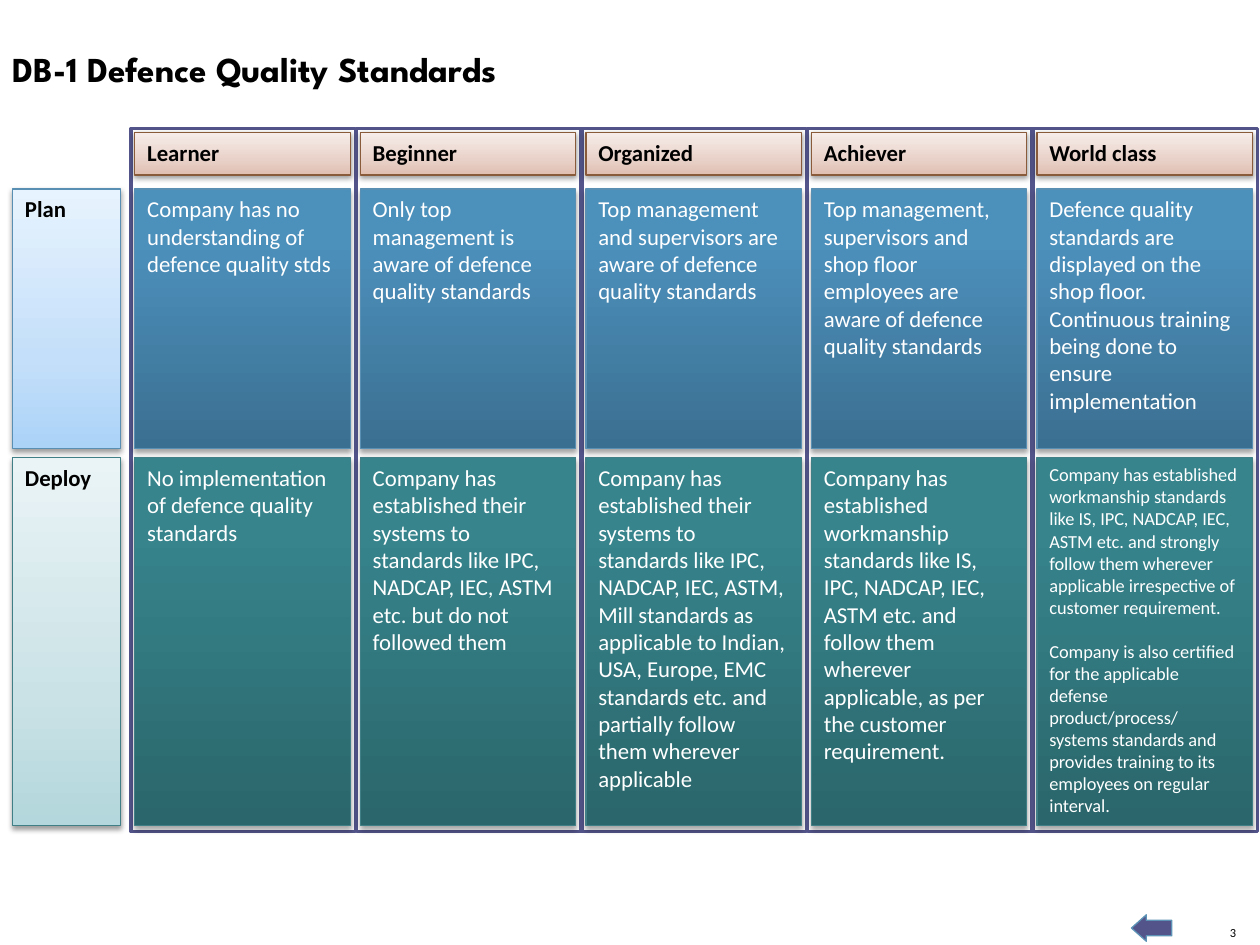
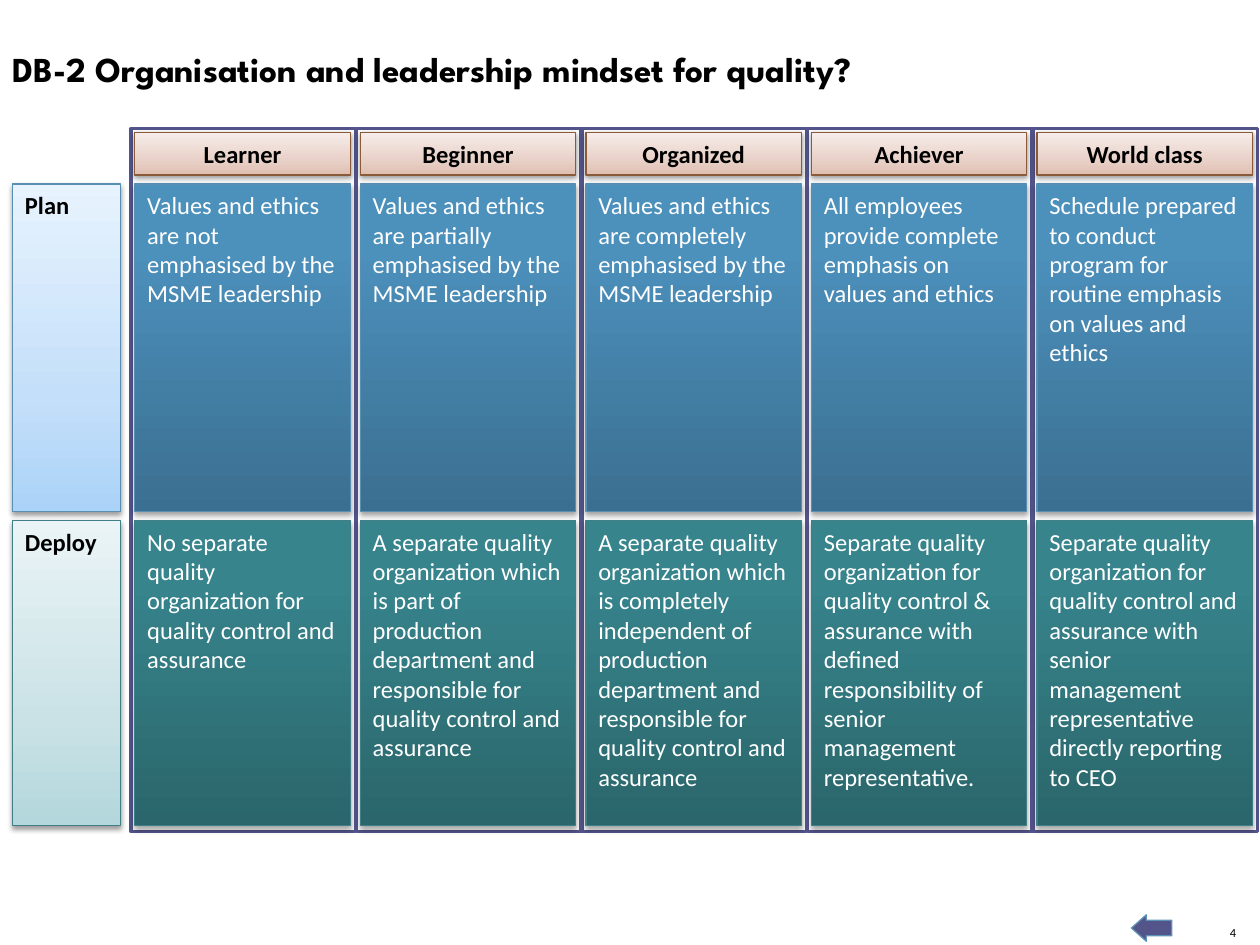
from dataclasses import dataclass

import lxml.etree
import pptx
import pptx.dml.color
import pptx.enum.dml
import pptx.enum.shapes
import pptx.enum.text
import pptx.oxml.ns
import pptx.util

RGB = pptx.dml.color.RGBColor
PP_ALIGN = pptx.enum.text.PP_ALIGN
ANCHOR = pptx.enum.text.MSO_ANCHOR
SHAPE = pptx.enum.shapes.MSO_SHAPE
qn = pptx.oxml.ns.qn

# The slide is a grid of 100 columns by 75 rows; every length below is in grid units.
COLUMNS, ROWS = 100, 75
UNIT = pptx.util.Inches(0.1)

BLACK = RGB(0x00, 0x00, 0x00)
WHITE = RGB(0xFF, 0xFF, 0xFF)
INDIGO = RGB(0x53, 0x54, 0x8A)
BLUE_EDGE = RGB(0x58, 0x8F, 0xB3)
TEAL_EDGE = RGB(0x40, 0x7F, 0x85)
BROWN_EDGE = RGB(0x8A, 0x5B, 0x3A)
ARROW_EDGE = RGB(0x5C, 0x92, 0xB5)

TITLE_FONT, BODY_FONT = "League Spartan", "Calibri"

LEVELS = ("Learner", "Beginner", "Organized", "Achiever", "World class")
LEVEL_PITCH = 17.9
FRAME_LEFT, FRAME_TOP, FRAME_WIDTH, FRAME_HEIGHT = 10.4, 10.2, 17.8, 55.8
CARD_LEFT, CARD_WIDTH = 10.7, 17.1
HEADER_TOP, HEADER_HEIGHT = 10.5, 3.4
PHASE_LEFT, PHASE_WIDTH = 1, 8.6
ROW_GAP, BOARD_BOTTOM = 0.7, 65.5
SMALL_TEXT = 10.5


@dataclass(frozen=True)
class CardStyle:
    """Look of a card; stops run from bottom to top as (percent, colour)."""
    stops: tuple
    edge: RGB
    text: RGB
    bold: bool
    shadow_alpha: int
    shadow_distance: float


def pale_style(bottom, middle, top, edge):
    stops = ((0, bottom), (35, middle), (100, top))
    return CardStyle(stops, edge, BLACK, True, 38, 1.6)


def deep_style(bottom, middle, top, edge):
    stops = ((0, bottom), (80, middle), (100, top))
    return CardStyle(stops, edge, WHITE, False, 35, 1.8)


HEADER = pale_style(RGB(0xE0, 0xBE, 0xB0), RGB(0xE8, 0xD1, 0xC8), RGB(0xF7, 0xED, 0xEA), BROWN_EDGE)
PLAN_LABEL = pale_style(RGB(0xAB, 0xD3, 0xF8), RGB(0xC4, 0xDF, 0xF9), RGB(0xE7, 0xF3, 0xFE), BLUE_EDGE)
DEPLOY_LABEL = pale_style(RGB(0xB3, 0xD7, 0xDC), RGB(0xCA, 0xE2, 0xE6), RGB(0xEA, 0xF4, 0xF6), TEAL_EDGE)
PLAN_CARD = deep_style(RGB(0x3B, 0x6F, 0x91), RGB(0x4C, 0x90, 0xBC), RGB(0x4A, 0x91, 0xBF), BLUE_EDGE)
DEPLOY_CARD = deep_style(RGB(0x2A, 0x66, 0x6B), RGB(0x37, 0x84, 0x8C), RGB(0x36, 0x86, 0x8E), TEAL_EDGE)


@dataclass(frozen=True)
class Board:
    """One maturity board: a plan and a deploy statement for each level."""
    number: int
    title: str
    text_size: float
    plan_top: float
    plan_height: float
    plan: tuple
    deploy: tuple
    centred_headers: bool = False


BOARDS = (
    Board(
        3, "DB-1 Defence Quality Standards", 13, 15, 20.6,
        plan=(
            "Company has no understanding of defence quality stds",
            "Only top management is aware of defence quality standards",
            "Top management and supervisors are aware of defence quality standards",
            "Top management, supervisors and shop floor employees are aware of "
            "defence quality standards",
            "Defence quality standards are displayed on the shop floor. Continuous "
            "training being done to ensure implementation",
        ),
        deploy=(
            "No implementation of defence quality standards",
            "Company has established their systems to standards like IPC, NADCAP, "
            "IEC, ASTM etc. but do not followed them",
            "Company has established their systems to standards like IPC, NADCAP, "
            "IEC, ASTM, Mill standards as applicable to Indian, USA, Europe, EMC "
            "standards etc. and partially follow them wherever applicable",
            "Company has established workmanship standards like IS, IPC, NADCAP, "
            "IEC, ASTM etc. and follow them wherever applicable, as per the "
            "customer requirement.",
            ("Company has established workmanship standards like IS, IPC, NADCAP, "
             "IEC, ASTM etc. and strongly follow them wherever applicable "
             "irrespective of customer requirement.",
             "Company is also certified for the applicable defense product/process/",
             "systems standards and provides training to its employees on regular "
             "interval."),
        ),
    ),
    Board(
        4, "DB-2 Organisation and leadership mindset for quality?", 14, 14.6, 26,
        plan=(
            "Values and ethics are not emphasised by the MSME leadership",
            "Values and ethics are partially emphasised by the MSME leadership",
            "Values and ethics are completely emphasised by the MSME leadership",
            "All employees provide complete emphasis on values and ethics",
            "Schedule prepared to conduct program for routine emphasis on values "
            "and ethics",
        ),
        deploy=(
            "No separate quality organization for quality control and assurance",
            "A separate quality organization which is part of production department "
            "and responsible for quality control and assurance",
            "A separate quality organization which is completely independent of "
            "production department and responsible for quality control and assurance",
            "Separate quality organization for quality control & assurance with "
            "defined responsibility of senior management representative.",
            "Separate quality organization for quality control and assurance with "
            "senior management representative directly reporting to CEO",
        ),
        centred_headers=True,
    ),
)


def grid(*lengths):
    return [round(length * UNIT) for length in lengths]


def write(paragraph, text, size, colour, font=BODY_FONT, bold=False, align=PP_ALIGN.LEFT):
    paragraph.alignment = align
    run = paragraph.add_run()
    run.text = text
    run.font.name = font
    run.font.size = pptx.util.Pt(size)
    run.font.bold = bold
    run.font.color.rgb = colour


def add_plain_shape(slide, kind, bounds, fill, edge, edge_width):
    shape = slide.shapes.add_shape(kind, *grid(*bounds))
    shape.shadow.inherit = False
    shape.fill.solid()
    shape.fill.fore_color.rgb = fill
    shape.line.color.rgb = edge
    shape.line.width = pptx.util.Pt(edge_width)
    return shape


def add_colour(parent, colour):
    return lxml.etree.SubElement(parent, qn("a:srgbClr"), val=str(colour))


def apply_gradient(shape, stops):
    shape.fill.gradient()
    shape.fill.gradient_angle = 90
    stop_list = shape.element.spPr.find(".//" + qn("a:gsLst"))
    for stop in list(stop_list):
        stop_list.remove(stop)
    for percent, colour in stops:
        add_colour(lxml.etree.SubElement(stop_list, qn("a:gs"), pos=str(percent * 1000)), colour)


def apply_shadow(shape, style):
    effects = shape.element.spPr.find(qn("a:effectLst"))
    shadow = lxml.etree.SubElement(
        effects, qn("a:outerShdw"), blurRad=str(pptx.util.Pt(3.1)),
        dist=str(pptx.util.Pt(style.shadow_distance)), dir="5400000", rotWithShape="0")
    lxml.etree.SubElement(add_colour(shadow, BLACK), qn("a:alpha"), val=str(style.shadow_alpha * 1000))


def add_card(slide, bounds, style, statements, size, centred=False):
    card = add_plain_shape(slide, SHAPE.RECTANGLE, bounds, WHITE, style.edge, 0.75)
    apply_gradient(card, style.stops)
    apply_shadow(card, style)
    frame = card.text_frame
    frame.word_wrap = True
    frame.vertical_anchor = ANCHOR.MIDDLE if centred else ANCHOR.TOP
    if isinstance(statements, str):
        statements = (statements,)
    else:
        size = SMALL_TEXT
    for index, statement in enumerate(statements):
        paragraph = frame.add_paragraph() if index else frame.paragraphs[0]
        write(paragraph, statement, size, style.text, bold=style.bold,
              align=PP_ALIGN.CENTER if centred else PP_ALIGN.LEFT)
    if len(statements) > 1:
        frame.paragraphs[0].space_after = pptx.util.Pt(12.8)


def level_cards(slide, top, height, style, statements, size, centred=False):
    for level, statement in enumerate(statements):
        left = CARD_LEFT + level * LEVEL_PITCH
        add_card(slide, (left, top, CARD_WIDTH, height), style, statement, size, centred)


def set_title(slide, text):
    title = slide.shapes.title
    title.left, title.top, title.width, title.height = grid(0, 3.3, 86, 4.4)
    frame = title.text_frame
    frame.word_wrap = True
    frame.auto_size = pptx.enum.text.MSO_AUTO_SIZE.NONE
    frame.vertical_anchor = ANCHOR.TOP
    write(frame.paragraphs[0], text, 20, BLACK, TITLE_FONT, bold=True)


def add_footer(slide, number):
    page = slide.shapes.add_textbox(*grid(96.9, 73.4, 1.2, 1.2)).text_frame
    page.margin_left = page.margin_right = page.margin_top = page.margin_bottom = 0
    page.word_wrap = False
    page.vertical_anchor = ANCHOR.BOTTOM
    write(page.paragraphs[0], str(number), 7.1, BLACK, align=PP_ALIGN.RIGHT)
    back_arrow = add_plain_shape(slide, SHAPE.RIGHT_ARROW, (89.8, 72.6, 3.2, 2.1),
                                 INDIGO, ARROW_EDGE, 0.75)
    back_arrow.rotation = 180
    back_arrow.adjustments[0] = 0.59
    back_arrow.adjustments[1] = 0.56


def add_board(slide, board):
    set_title(slide, board.title)
    add_footer(slide, board.number)
    deploy_top = board.plan_top + board.plan_height + ROW_GAP
    phases = (
        ("Plan", board.plan_top, board.plan_height, PLAN_LABEL, PLAN_CARD, board.plan),
        ("Deploy", deploy_top, BOARD_BOTTOM - deploy_top, DEPLOY_LABEL, DEPLOY_CARD, board.deploy),
    )
    for level in range(len(LEVELS)):
        left = FRAME_LEFT + level * LEVEL_PITCH
        add_plain_shape(slide, SHAPE.RECTANGLE, (left, FRAME_TOP, FRAME_WIDTH, FRAME_HEIGHT),
                        WHITE, INDIGO, 2)
    for phase, top, height, label_style, card_style, statements in phases:
        add_card(slide, (PHASE_LEFT, top, PHASE_WIDTH, height), label_style, phase, board.text_size)
        level_cards(slide, top, height, card_style, statements, board.text_size)
    level_cards(slide, HEADER_TOP, HEADER_HEIGHT, HEADER, LEVELS, board.text_size,
                board.centred_headers)


def main():
    deck = pptx.Presentation()
    deck.slide_width, deck.slide_height = grid(COLUMNS, ROWS)
    title_only = deck.slide_layouts.get_by_name("Title Only")
    for board in BOARDS:
        add_board(deck.slides.add_slide(title_only), board)
    deck.save("out.pptx")


if __name__ == "__main__":
    main()
